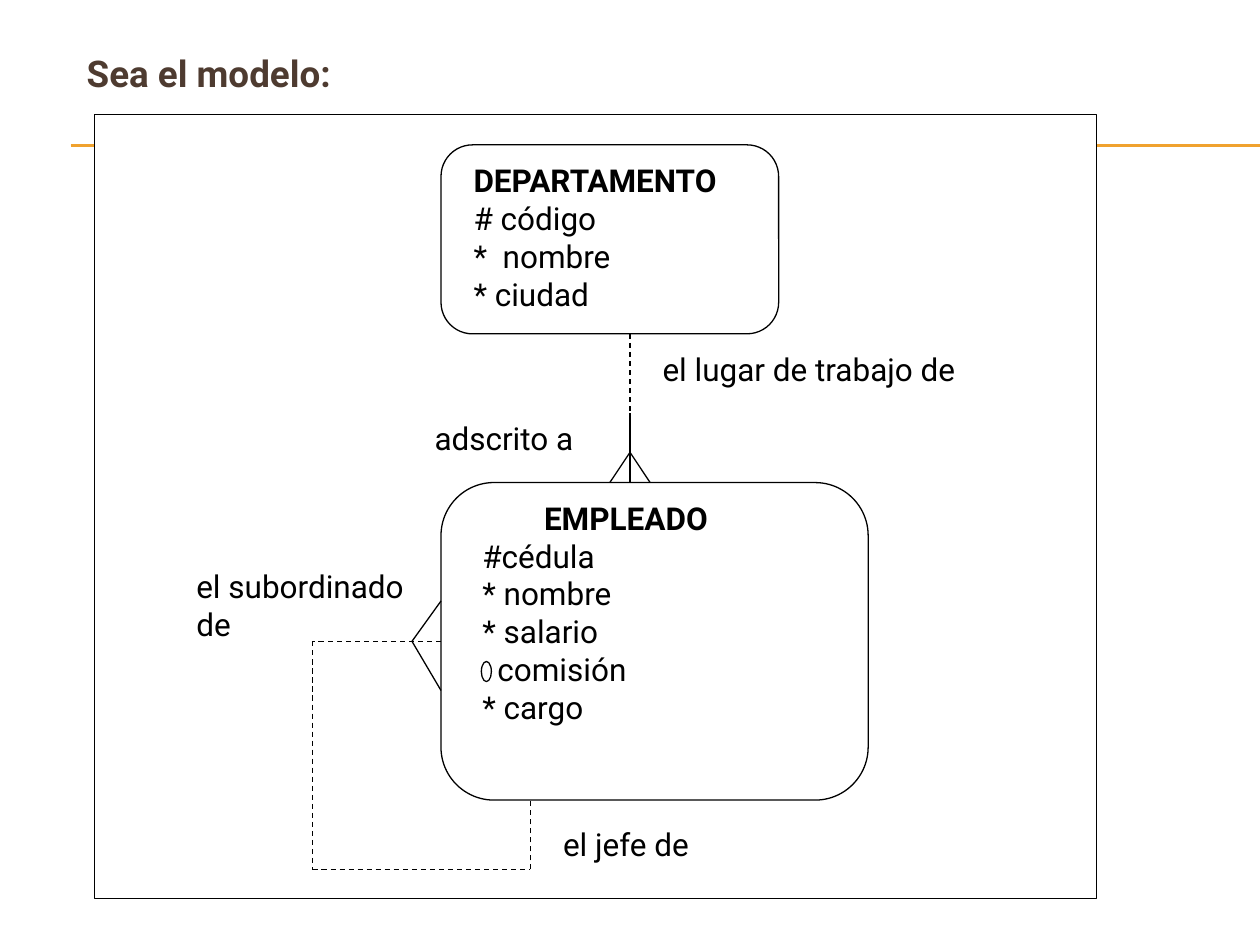
from collections import namedtuple
from dataclasses import dataclass

from lxml import etree
from pptx import Presentation
from pptx import util as u
from pptx.dml.color import RGBColor
from pptx.enum import dml, shapes, text
from pptx.oxml import ns

Box = namedtuple("Box", "left top width height")


@dataclass(frozen=True)
class Theme:
    font: str = "Roboto"
    ink: str = "000000"
    title: str = "4E3B30"
    rule: str = "F0A22E"
    paper: str = "FFFFFF"
    title_size: int = 21
    body_size: int = 18
    line_width: float = 0.75


THEME = Theme()


def set_all(target, values):
    for name, value in values.items():
        setattr(target, name, value)


def add_outline(page, kind, box, fill=None):
    """Add a thin-lined preset shape, hollow unless a fill is given."""
    shape = page.shapes.add_shape(kind, *map(u.Inches, box))
    shape.shadow.inherit = False
    if fill:
        shape.fill.solid()
        shape.fill.fore_color.rgb = RGBColor.from_string(fill)
    else:
        shape.fill.background()
    shape.line.color.rgb = RGBColor.from_string(THEME.ink)
    shape.line.width = u.Pt(THEME.line_width)
    return shape


def add_line(page, start, end, color=THEME.ink, dashed=False):
    line = page.shapes.add_connector(
        shapes.MSO_CONNECTOR.STRAIGHT, *map(u.Inches, (*start, *end)))
    line.line.color.rgb = RGBColor.from_string(color)
    line.line.width = u.Pt(THEME.line_width)
    if dashed:
        line.line.dash_style = dml.MSO_LINE.DASH
    etree.SubElement(line._element.spPr, ns.qn("a:effectLst"))
    return line


def add_text(page, box, lines, wrap=True, size=THEME.body_size, color=THEME.ink):
    """Write one paragraph for each (words, bold, indent in inches)."""
    frame = page.shapes.add_textbox(*map(u.Inches, box)).text_frame
    frame.word_wrap = wrap
    for index, (words, bold, indent) in enumerate(lines):
        para = frame.add_paragraph() if index else frame.paragraphs[0]
        para.alignment = text.PP_ALIGN.LEFT
        if indent:
            para._p.get_or_add_pPr().set("marL", str(u.Inches(indent)))
        span = para.add_run()
        span.text = words
        set_all(span.font, {"name": THEME.font, "size": u.Pt(size), "bold": bold})
        span.font.color.rgb = RGBColor.from_string(color)


def add_label(page, box, *lines, wrap=True):
    add_text(page, box, [(words, False, 0) for words in lines], wrap)


def add_heading(page, box):
    for drop in (0.8, 0.81):
        y = box.top + drop
        add_line(page, (box.left - 0.03, y), (10, y), THEME.rule)
    add_text(page, box, [("Sea el modelo:", True, 0)],
             size=THEME.title_size, color=THEME.title)


def add_entity(page, box, lines, offset, wrap):
    """Draw a rounded entity with its text inset by offset (x, y)."""
    dx, dy = offset
    entity = add_outline(page, shapes.MSO_SHAPE.ROUNDED_RECTANGLE, box)
    entity.adjustments[0] = 0.167
    inner = Box(box.left + dx, box.top + dy, box.width - dx, box.height - 2 * dy)
    add_text(page, inner, lines, wrap)
    return entity


def add_department(page, box):
    lines = [("DEPARTAMENTO", True, 0), ("# código", False, 0),
             ("*  nombre", False, 0), ("* ciudad", False, 0)]
    add_entity(page, box, lines, (0.16, 0.08), wrap=False)


def add_employee(page, box):
    lines = [("EMPLEADO", True, 0.56), ("#cédula", False, 0.07),
             ("* nombre", False, 0.07), ("* salario", False, 0.07),
             ("comisión", False, 0.19), ("* cargo", False, 0.07)]
    entity = add_entity(page, box, lines, (0.16, 0.08), wrap=True)
    optional_mark = Box(box.left + 0.32, box.top + 1.42, 0.08, 0.16)
    add_outline(page, shapes.MSO_SHAPE.OVAL, optional_mark)
    return entity


def add_work_link(page, box):
    """Link the entities vertically, with a crow's foot at the bottom."""
    x = box.left + box.width / 2
    bottom = box.top + box.height
    joint = (x, box.top + 0.63)
    add_line(page, (x, box.top), joint, dashed=True)
    add_line(page, joint, (x, bottom))
    for toe in (box.left, box.left + box.width):
        add_line(page, (x, bottom - 0.24), (toe, bottom))
    add_label(page, Box(x + 0.16, box.top + 0.08, 3.78, 0.4), "el lugar de trabajo de")
    add_label(page, Box(x - 1.65, box.top + 0.63, 1.65, 0.4), "adscrito a")


def add_boss_link(page, box, employee, employee_box):
    """Loop from the left side of the employee round to its bottom side."""
    right, bottom = box.left + box.width, box.top + box.height
    side = (employee_box.left, box.top)
    employee_bottom = employee_box.top + employee_box.height
    corners = [side, (box.left, box.top), (box.left, bottom),
               (right, bottom), (right, employee_bottom)]
    loop = [add_line(page, start, end, dashed=True)
            for start, end in zip(corners, corners[1:])]
    loop[0].begin_connect(employee, 1)
    for toe in (-0.32, 0.39):
        add_line(page, (side[0] - 0.23, box.top), (side[0], box.top + toe))
    add_label(page, Box(right + 0.16, bottom - 0.4, 1.38, 0.4), "el jefe de", wrap=False)
    add_label(page, Box(box.left - 1.02, box.top - 0.64, 2.14, 0.7),
              "el subordinado", "de", wrap=False)


def add_model(page, box):
    add_outline(page, shapes.MSO_SHAPE.RECTANGLE, box, THEME.paper)

    def inside(left, top, width, height):
        return Box(box.left + left, box.top + top, width, height)

    employee_box = inside(2.75, 2.92, 3.39, 2.52)
    add_department(page, inside(2.75, 0.24, 2.68, 1.5))
    employee = add_employee(page, employee_box)
    add_work_link(page, inside(4.09, 1.74, 0.32, 1.18))
    add_boss_link(page, inside(1.73, 4.18, 1.73, 1.81), employee, employee_box)


def main():
    deck = Presentation()
    set_all(deck, {"slide_width": u.Inches(10), "slide_height": u.Inches(7.5)})
    page = deck.slides.add_slide(deck.slide_layouts[6])
    add_heading(page, Box(0.59, 0.35, 9, 0.81))
    add_model(page, Box(0.75, 0.91, 7.95, 6.22))
    deck.save("out.pptx")


if __name__ == "__main__":
    main()
